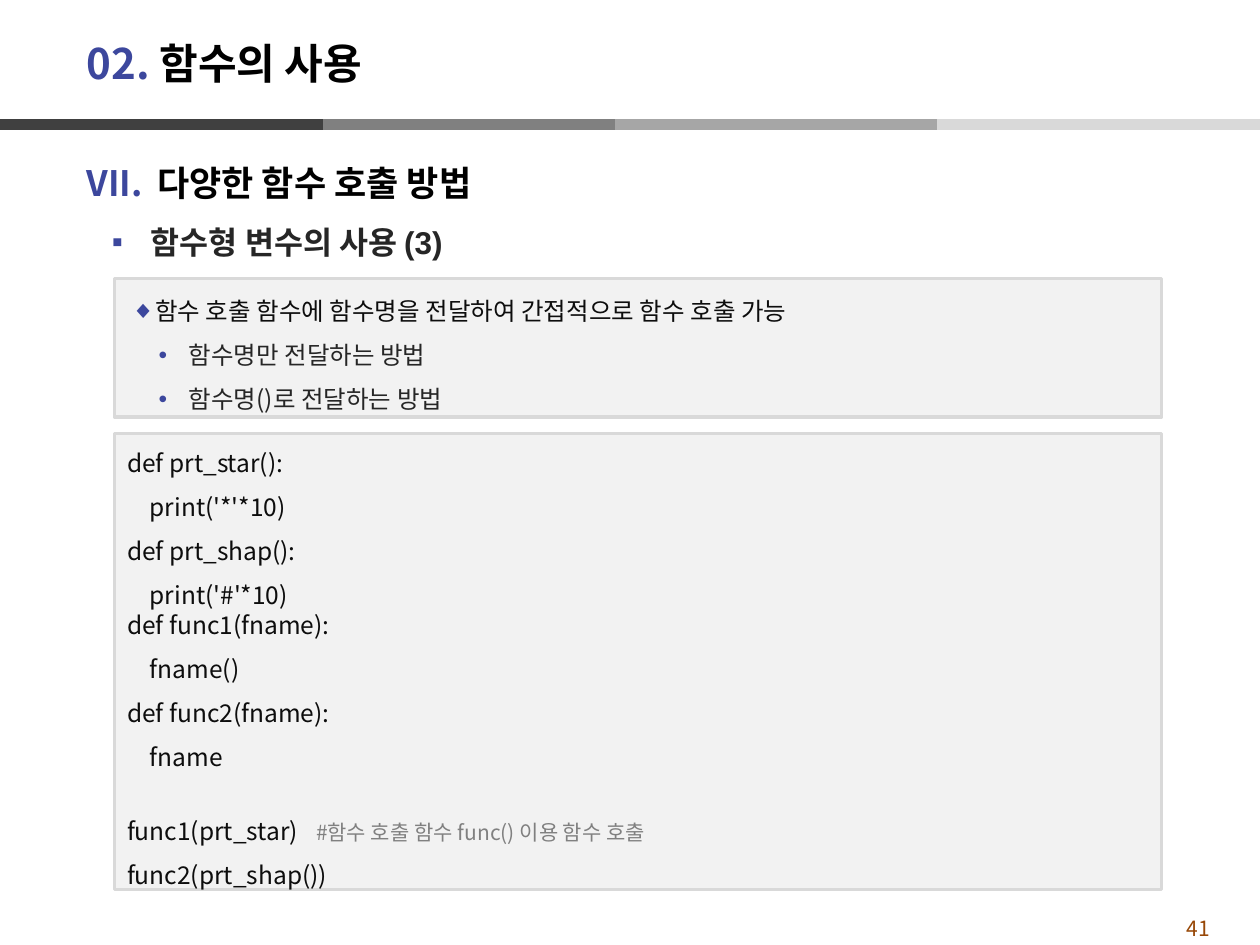
from lxml.etree import SubElement
from pptx import Presentation
from pptx.dml.color import RGBColor
from pptx.enum.shapes import MSO_CONNECTOR as CONNECTOR, MSO_SHAPE as SHAPE
from pptx.enum.text import MSO_ANCHOR as ANCHOR, PP_ALIGN as ALIGN
from pptx.oxml.ns import qn
from pptx.util import Inches, Pt

COLORS = {
    "accent": "3C479D", "black": "000000", "heading": "262626",
    "code": "0D0D0D", "comment": "808080", "page": "984807",
    "panel": "F2F2F2", "border": "D9D9D9",
}
BAR_WIDTH = 2.56
BARS = [(2.32, "808080"), (4.88, "A6A6A6"), (7.44, "D9D9D9"), (0, "404040")]
KOREAN = "Noto Sans CJK KR"
CODE_INDENT = 0.18
CODE = [
    ("def prt_star():", 0),
    ("print('*'*10)", 1),
    ("def prt_shap():", 0),
    ("print('#'*10)", 1),
    ("def func1(fname):", 0),
    ("fname()", 1),
    ("def func2(fname):", 0),
    ("fname", 1),
    ("func1(prt_star)", 0),
    ("func2(prt_shap())", 0),
]
COMMENT = "#함수 호출 함수 func() 이용 함수 호출"


def rgb(name):
    return RGBColor.from_string(COLORS.get(name, name))


def add_bar(slide, left, color):
    y = Inches(0.99)
    bar = slide.shapes.add_connector(
        CONNECTOR.STRAIGHT, Inches(left), y, Inches(left + BAR_WIDTH), y)
    bar.line.color.rgb = rgb(color)
    bar.line.width = Pt(6)
    SubElement(bar._element.spPr, qn("a:effectLst"))


def add_text_area(slide, box, anchor=ANCHOR.TOP):
    frame = slide.shapes.add_textbox(*map(Inches, box)).text_frame
    frame.word_wrap = True
    frame.vertical_anchor = anchor
    return frame


def add_panel(slide, box):
    panel = slide.shapes.add_shape(SHAPE.RECTANGLE, *map(Inches, box))
    panel.shadow.inherit = False
    panel.fill.solid()
    panel.fill.fore_color.rgb = rgb("panel")
    panel.line.color.rgb = rgb("border")
    panel.line.width = Pt(2)
    frame = panel.text_frame
    frame.word_wrap = True
    frame.vertical_anchor = ANCHOR.MIDDLE
    return frame


def add_run(paragraph, text, size, color, bold=False, font=KOREAN):
    run = paragraph.add_run()
    run.text = text
    formats = {"size": Pt(size), "bold": bold, "name": font}
    for name, value in formats.items():
        setattr(run.font, name, value)
    run.font.color.rgb = rgb(color)
    SubElement(run.font._element, qn("a:ea"), typeface=KOREAN)


def add_paragraph(frame, spacing=1.5, align=ALIGN.LEFT, before=0):
    first = frame.paragraphs[0]
    paragraph = frame.add_paragraph() if first.runs else first
    formats = {"line_spacing": spacing, "alignment": align,
               "space_before": Pt(before)}
    for name, value in formats.items():
        setattr(paragraph, name, value)
    return paragraph


def indent(paragraph, margin, hanging=0):
    props = paragraph._p.get_or_add_pPr()
    props.set("marL", str(Inches(margin)))
    props.set("indent", str(Inches(-hanging)))
    return props


def add_bullet(paragraph, margin, hanging, mark=None, start=None, font="Arial"):
    props = indent(paragraph, margin, hanging)
    color = SubElement(props, qn("a:buClr"))
    SubElement(color, qn("a:srgbClr"), val=COLORS["accent"])
    SubElement(props, qn("a:buFont"), typeface=font)
    if start:
        SubElement(props, qn("a:buAutoNum"), type="romanUcPeriod",
                   startAt=str(start))
    else:
        SubElement(props, qn("a:buChar"), char=mark)


def add_tab_stop(paragraph, position):
    stops = SubElement(paragraph._p.get_or_add_pPr(), qn("a:tabLst"))
    SubElement(stops, qn("a:tab"), pos=str(Inches(position)), algn="l")


def add_headings(slide):
    title = add_paragraph(
        add_text_area(slide, (0.59, 0.2, 8.74, 0.6), ANCHOR.MIDDLE), 1)
    add_run(title, "02. ", 24, "accent", True)
    add_run(title, "함수의 사용", 24, "black", True)

    body = add_text_area(slide, (0.59, 1.07, 9.06, 1.1))
    section = add_paragraph(body)
    add_bullet(section, 0.56, 0.56, start=7, font=KOREAN)
    add_run(section, "다양한 함수 호출 방법", 20, "black", True, "Arial")
    topic = add_paragraph(body)
    add_bullet(topic, 0.51, 0.31, "▪")
    add_run(topic, "함수형 변수의 사용 (3)", 18, "heading", True, "Arial")


def add_summary(slide):
    frame = add_panel(slide, (0.91, 2.21, 8.31, 1.1))
    lead = add_paragraph(frame)
    add_bullet(lead, 0.18, 0.15, "◆")
    add_run(lead, "함수 호출 함수에 함수명을 전달하여 간접적으로 함수 호출 가능", 14, "code")
    for method in ("함수명만 전달하는 방법", "함수명()로 전달하는 방법"):
        item = add_paragraph(frame)
        add_bullet(item, 0.49, 0.24, "•")
        add_run(item, method, 14, "heading")


def add_code(slide):
    frame = add_panel(slide, (0.91, 3.44, 8.31, 3.62))
    for text, depth in CODE:
        is_call = text == "func1(prt_star)"
        line = add_paragraph(frame, 1 if text == "def func1(fname):" else 1.5,
                             before=17 if is_call else 0)
        indent(line, depth * CODE_INDENT)
        add_run(line, text, 14, "code")
        if is_call:
            add_tab_stop(line, 1.53)
            add_run(line, "\t" + COMMENT, 12, "comment")


def add_page_number(slide):
    frame = add_text_area(slide, (9.05, 7.22, 0.92, 0.23))
    add_run(add_paragraph(frame, 1, ALIGN.CENTER), "41", 12, "page")


def main():
    deck = Presentation()
    deck.slide_width, deck.slide_height = Inches(10), Inches(7.5)
    slide = deck.slides.add_slide(deck.slide_layouts[6])
    add_page_number(slide)
    for left, color in BARS:
        add_bar(slide, left, color)
    add_headings(slide)
    add_code(slide)
    add_summary(slide)
    deck.save("out.pptx")


if __name__ == "__main__":
    main()
